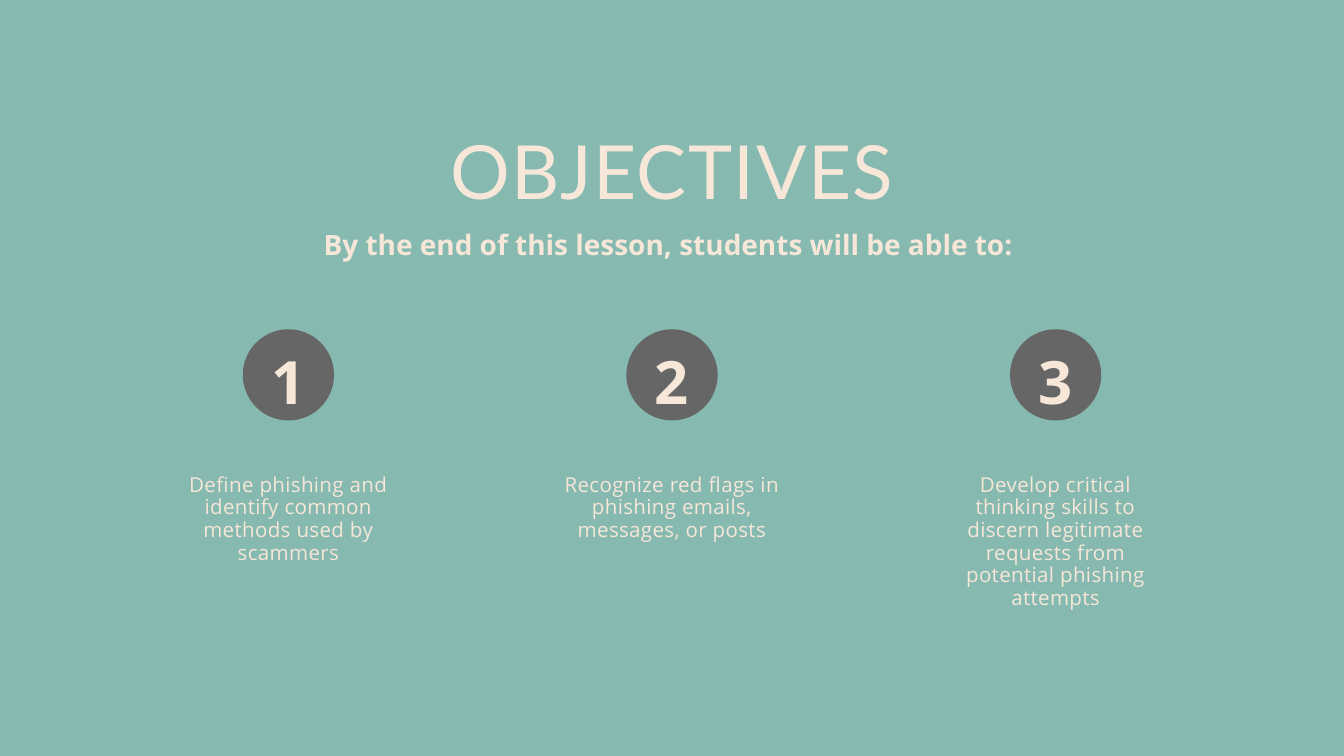
from dataclasses import dataclass

from pptx import Presentation
from pptx.dml.color import RGBColor
from pptx.enum.shapes import MSO_SHAPE as Shape
from pptx.enum.text import MSO_ANCHOR as Anchor, MSO_AUTO_SIZE as AutoSize, PP_ALIGN as Align
from pptx.util import Pt

COLORS = {"background": "86B9B0", "text": "F6E7D8", "badge": "666666"}
PAGE_WIDTH, PAGE_HEIGHT = 1440, 810
COLUMN_PITCH = 411
BADGE_SIZE, BADGE_TOP = 97.7, 352.8
NUMBER_TOP, NUMBER_HEIGHT = 345.6, 94.3
CAPTION_TOP, CAPTION_WIDTH = 507.6, 235.4

FRAME_FORMAT = {
    "margin_left": 0, "margin_top": 0, "margin_right": 0, "margin_bottom": 0,
    "word_wrap": True, "auto_size": AutoSize.NONE, "vertical_anchor": Anchor.TOP,
}


@dataclass(frozen=True)
class TextStyle:
    font: str
    size: float
    line_height: float
    tracking: float = 0
    bold: bool = False


@dataclass(frozen=True)
class Objective:
    number: int
    caption: str
    lines: int


TITLE = TextStyle("Lato", 80, 96, tracking=1.6)
SUBTITLE = TextStyle("Open Sans", 30, 42, bold=True)
NUMBER = TextStyle("Open Sans", 64, 100.5, tracking=3.2, bold=True)
CAPTION = TextStyle("Open Sans", 22, 24.2, tracking=0.4)

OBJECTIVES = [
    Objective(1, "Define phishing and identify common methods used by scammers", 4),
    Objective(2, "Recognize red flags in phishing emails, messages, or posts", 3),
    Objective(3, "Develop critical thinking skills to discern legitimate requests "
                 "from potential phishing attempts", 6),
]


def color(name: str) -> RGBColor:
    return RGBColor.from_string(COLORS[name])


def set_all(target, values: dict) -> None:
    for name, value in values.items():
        setattr(target, name, value)


def place(box, center: float, top: float, width: float, height: float) -> None:
    """Position a box by its horizontal center."""
    set_all(box, {"left": Pt(center - width / 2), "top": Pt(top),
                  "width": Pt(width), "height": Pt(height)})


def write(box, text: str, style: TextStyle) -> None:
    set_all(box.text_frame, FRAME_FORMAT)
    para = box.text_frame.paragraphs[0]
    set_all(para, {"alignment": Align.CENTER, "line_spacing": Pt(style.line_height),
                   "space_before": Pt(0)})
    span = para.add_run()
    span.text = text
    set_all(span.font, {"name": style.font, "size": Pt(style.size), "bold": style.bold})
    span.font.color.rgb = color("text")
    if style.tracking:
        span._r.get_or_add_rPr().set("spc", str(round(style.tracking * 100)))


def add_text(page, text: str, style: TextStyle, center: float, top: float,
             width: float, height: float) -> None:
    box = page.shapes.add_textbox(0, 0, 0, 0)
    place(box, center, top, width, height)
    write(box, text, style)


def add_objective(page, objective: Objective, center: float) -> None:
    badge = page.shapes.add_shape(Shape.OVAL, 0, 0, 0, 0)
    place(badge, center, BADGE_TOP, BADGE_SIZE, BADGE_SIZE)
    badge.shadow.inherit = False
    badge.fill.solid()
    badge.fill.fore_color.rgb = color("badge")
    badge.line.fill.background()
    add_text(page, str(objective.number), NUMBER, center, NUMBER_TOP, BADGE_SIZE, NUMBER_HEIGHT)
    add_text(page, objective.caption, CAPTION, center, CAPTION_TOP, CAPTION_WIDTH,
             objective.lines * CAPTION.line_height)


def main() -> None:
    deck = Presentation()
    set_all(deck, {"slide_width": Pt(PAGE_WIDTH), "slide_height": Pt(PAGE_HEIGHT)})
    page = deck.slides.add_slide(deck.slide_layouts[0])
    page.background.fill.solid()
    page.background.fill.fore_color.rgb = color("background")

    middle = PAGE_WIDTH / 2
    title, subtitle = page.placeholders
    place(title, middle, 133.2, 855.4, 97.2)
    write(title, "OBJECTIVES", TITLE)
    place(subtitle, middle, 237.6, 765.4, 40.3)
    write(subtitle, "By the end of this lesson, students will be able to: ", SUBTITLE)

    for column, objective in enumerate(OBJECTIVES):
        add_objective(page, objective, middle + (column - 1) * COLUMN_PITCH)

    deck.save("out.pptx")


if __name__ == "__main__":
    main()
